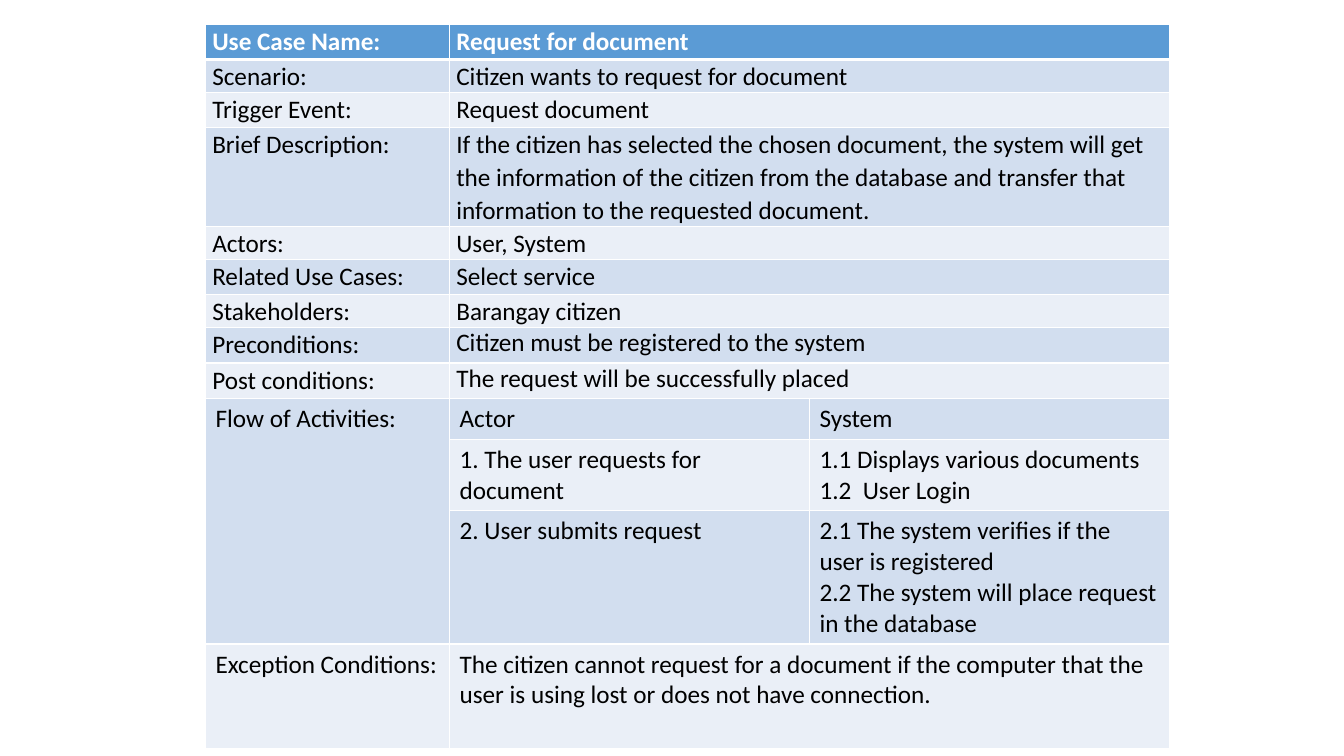
from dataclasses import dataclass

import lxml.etree
import pptx
import pptx.dml.color
import pptx.oxml.ns
import pptx.table
import pptx.util

Cm = pptx.util.Cm
Pt = pptx.util.Pt
RGBColor = pptx.dml.color.RGBColor

HEADER_BLUE = RGBColor(0x5B, 0x9B, 0xD5)
BAND_DARK = RGBColor(0xD2, 0xDE, 0xEF)
BAND_LIGHT = RGBColor(0xEA, 0xEF, 0xF7)
WHITE = RGBColor(0xFF, 0xFF, 0xFF)
BLACK = RGBColor(0x00, 0x00, 0x00)

FONT = "Calibri"
FONT_SIZE = Pt(18)
THIN, THICK = Pt(1), Pt(3)
COLUMN_WIDTHS = (6.15, 9.07, 9.07)


@dataclass(frozen=True)
class UseCaseRow:
    """One table row; a row with a single detail spans both right columns."""
    height: float
    label: str
    details: tuple[str, ...]
    compact: bool = True
    detail_spacing: float | None = 1.07


ROWS = (
    UseCaseRow(0.89, "Use Case Name:", ("Request for document",)),
    UseCaseRow(0.76, "Scenario:", ("Citizen wants to request for document",)),
    UseCaseRow(0.89, "Trigger Event:", ("Request document",)),
    UseCaseRow(2.36, "Brief Description:", (
        "If the citizen has selected the chosen document, the system will get "
        "the information of the citizen from the database and transfer that "
        "information to the requested document.",)),
    UseCaseRow(0.76, "Actors:", ("User, System",)),
    UseCaseRow(0.89, "Related Use Cases:", ("Select service",)),
    UseCaseRow(0.76, "Stakeholders:", ("Barangay citizen",)),
    UseCaseRow(0.89, "Preconditions:",
               ("Citizen must be registered to the system",), detail_spacing=None),
    UseCaseRow(0.89, "Post conditions:",
               ("The request will be successfully placed",), detail_spacing=None),
    UseCaseRow(0.99, "Flow of Activities:", ("Actor", "System"), False, None),
    UseCaseRow(1.75, "", (
        "1. The user requests for document",
        "1.1 Displays various documents\n1.2  User Login"), False, None),
    UseCaseRow(3.25, "", (
        "2. User submits request",
        "2.1 The system verifies if the user is registered\n"
        "2.2 The system will place request in the database"), False, None),
    UseCaseRow(2.64, "Exception Conditions:", (
        "The citizen cannot request for a document if the computer that the "
        "user is using lost or does not have connection.",), False, None),
)
FLOW_FIRST, FLOW_LAST = 9, 11


def set_borders(cell: pptx.table._Cell, row_index: int) -> None:
    """Draw white lines round the cell, thick under the header row."""
    qn = pptx.oxml.ns.qn
    properties = cell._tc.get_or_add_tcPr()
    widths = {
        "a:lnL": THIN,
        "a:lnR": THIN,
        "a:lnT": THICK if row_index == 1 else THIN,
        "a:lnB": THICK if row_index == 0 else THIN,
    }
    for tag, width in widths.items():
        line = lxml.etree.SubElement(properties, qn(tag), w=str(int(width)))
        fill = lxml.etree.SubElement(line, qn("a:solidFill"))
        lxml.etree.SubElement(fill, qn("a:srgbClr"), val=str(WHITE))


def style_cell(cell: pptx.table._Cell, row_index: int) -> None:
    """Give the cell its borders, band colour and margins."""
    set_borders(cell, row_index)
    cell.fill.solid()
    if row_index == 0:
        cell.fill.fore_color.rgb = HEADER_BLUE
    else:
        cell.fill.fore_color.rgb = BAND_DARK if row_index % 2 else BAND_LIGHT
    if ROWS[row_index].compact:
        cell.margin_left = cell.margin_right = Cm(0.17)
        cell.margin_top = cell.margin_bottom = Cm(0)


def write_cell(cell: pptx.table._Cell, text: str, spacing: float | None,
               is_header: bool) -> None:
    """Fill the cell with one paragraph per line of text."""
    frame = cell.text_frame
    for index, line in enumerate(text.split("\n")):
        paragraph = frame.add_paragraph() if index else frame.paragraphs[0]
        paragraph.line_spacing = spacing
        run = paragraph.add_run()
        run.text = line
        run.font.name = FONT
        run.font.size = FONT_SIZE
        run.font.bold = is_header
        run.font.color.rgb = WHITE if is_header else BLACK


def add_use_case_table(slide: pptx.slide.Slide) -> None:
    frame = slide.shapes.add_table(
        len(ROWS), len(COLUMN_WIDTHS), Cm(5.18), Cm(0.61),
        Cm(sum(COLUMN_WIDTHS)), Cm(sum(row.height for row in ROWS)))
    table = frame.table
    for column, width in zip(table.columns, COLUMN_WIDTHS):
        column.width = Cm(width)

    # Rows, bands and text
    for row_index, row in enumerate(ROWS):
        table.rows[row_index].height = Cm(row.height)
        for column_index in range(len(COLUMN_WIDTHS)):
            style_cell(table.cell(row_index, column_index), row_index)
        is_header = row_index == 0
        if row.label:
            label_spacing = 1.07 if row.compact else None
            write_cell(table.cell(row_index, 0), row.label, label_spacing, is_header)
        for column_index, detail in enumerate(row.details, start=1):
            write_cell(table.cell(row_index, column_index), detail,
                       row.detail_spacing, is_header)
        if len(row.details) == 1:
            table.cell(row_index, 1).merge(table.cell(row_index, 2))

    # Flow of activities label runs down its three rows
    table.cell(FLOW_FIRST, 0).merge(table.cell(FLOW_LAST, 0))


def main() -> None:
    presentation = pptx.Presentation()
    presentation.slide_width = Cm(33.87)
    presentation.slide_height = Cm(19.05)
    slide = presentation.slides.add_slide(presentation.slide_layouts[6])
    add_use_case_table(slide)
    presentation.save("out.pptx")


if __name__ == "__main__":
    main()
